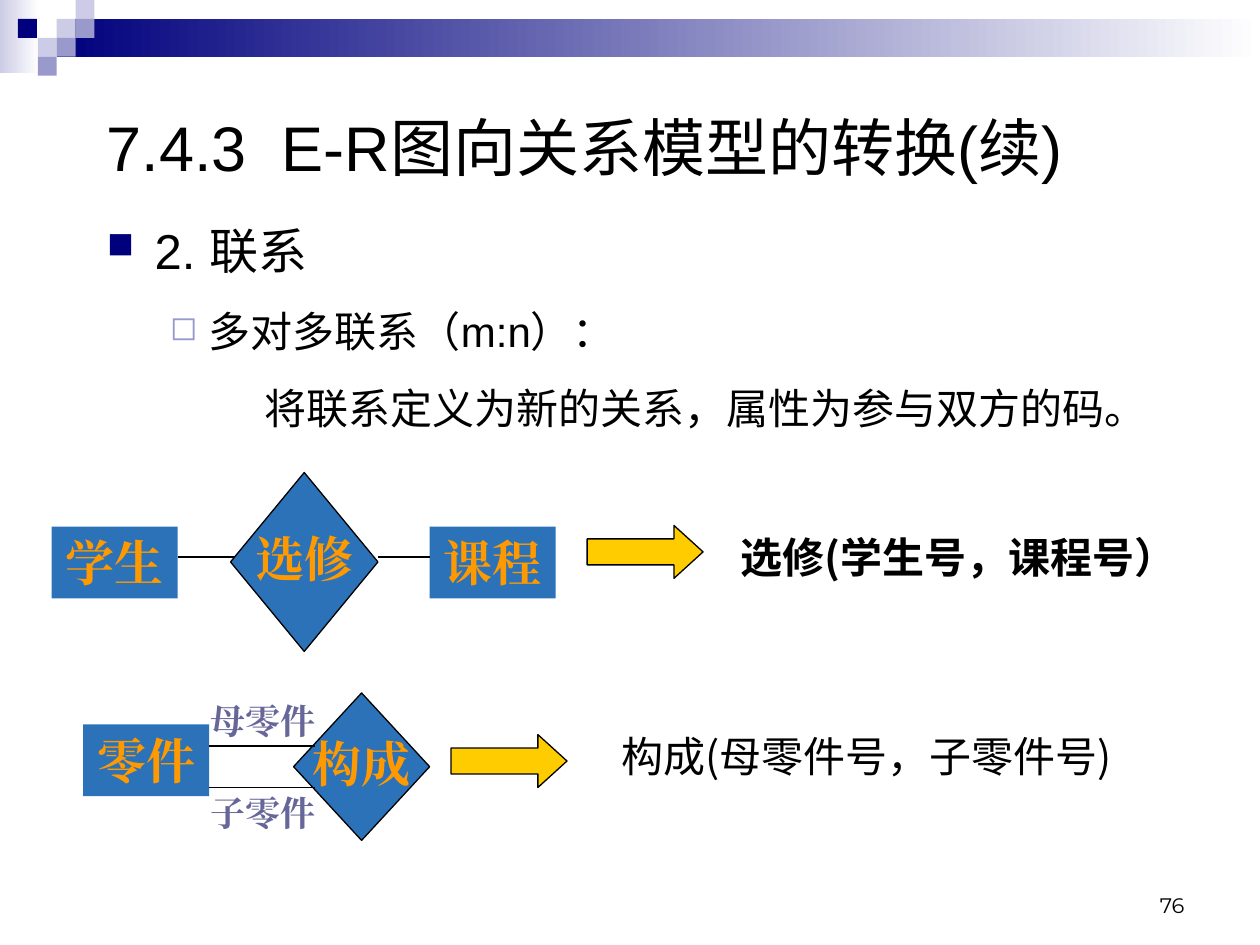
from pptx import Presentation
from pptx.dml.color import RGBColor
from pptx.enum.shapes import MSO_CONNECTOR, MSO_SHAPE
from pptx.enum.text import MSO_ANCHOR, PP_ALIGN
from pptx.oxml.ns import qn
from pptx.util import Inches, Pt
from lxml import etree

RECT, DIAMOND, ARROW = MSO_SHAPE.RECTANGLE, MSO_SHAPE.DIAMOND, MSO_SHAPE.RIGHT_ARROW
LEFT, CENTER, RIGHT = PP_ALIGN.LEFT, PP_ALIGN.CENTER, PP_ALIGN.RIGHT
TOP, MIDDLE, BOTTOM = MSO_ANCHOR.TOP, MSO_ANCHOR.MIDDLE, MSO_ANCHOR.BOTTOM
STRAIGHT = MSO_CONNECTOR.STRAIGHT

BLACK, NAVY, LILAC, PALE = "000000", "00007D", "9999CC", "CCCCE6"
BLUE, ORANGE, YELLOW, PURPLE = "2C72B8", "FF9900", "FFCC00", "666699"
SERIF, SANS, CJK = "Times New Roman", "Arial", "Noto Sans CJK JP"
UNIT = 0.15


def rgb(value):
    return RGBColor.from_string(value)


def style(para, size, font, color=BLACK, bold=False, align=LEFT):
    para.alignment = align
    for span in para.runs:
        span.font.size = Pt(size)
        span.font.name = font
        span.font.bold = bold
        span.font.color.rgb = rgb(color)
        east = etree.SubElement(span.font._element, qn("a:ea"))
        east.set("typeface", font)


def indent(para, left, first):
    props = para._p.get_or_add_pPr()
    props.set("marL", str(Inches(left)))
    props.set("indent", str(Inches(first)))


def add_bullet(para, char, color, percent):
    props = para._p.get_or_add_pPr()
    tint = etree.SubElement(props, qn("a:buClr"))
    etree.SubElement(tint, qn("a:srgbClr")).set("val", color)
    etree.SubElement(props, qn("a:buSzPct")).set("val", str(percent * 1000))
    etree.SubElement(props, qn("a:buChar")).set("char", char)


def add_text(page, box, text, size, font, anchor=TOP, **look):
    frame = page.shapes.add_textbox(*map(Inches, box)).text_frame
    frame.word_wrap = True
    frame.vertical_anchor = anchor
    frame.text = text
    style(frame.paragraphs[0], size, font, **look)
    return frame


def add_block(page, kind, box, fill, outlined=False):
    """Add a preset shape; a pair of colours gives a left-to-right gradient."""
    block = page.shapes.add_shape(kind, *map(Inches, box))
    block.shadow.inherit = False
    if isinstance(fill, tuple):
        block.fill.gradient()
        block.fill.gradient_angle = 0
        for stop, color in zip(block.fill.gradient_stops, fill):
            stop.color.rgb = rgb(color)
    else:
        block.fill.solid()
        block.fill.fore_color.rgb = rgb(fill)
    if outlined:
        block.line.color.rgb = rgb(BLACK)
        block.line.width = Pt(0.75)
    else:
        block.line.fill.background()
    return block


def add_node(page, kind, box, text):
    is_relation = kind == DIAMOND
    frame = add_block(page, kind, box, BLUE, is_relation).text_frame
    frame.word_wrap = not is_relation
    frame.vertical_anchor = MIDDLE if is_relation else TOP
    frame.text = text
    para = frame.paragraphs[0]
    style(para, 28, SERIF, ORANGE, True, CENTER)
    if is_relation:
        para.line_spacing = 0.9


def add_link(page, start, end, y):
    link = page.shapes.add_connector(STRAIGHT, *map(Inches, (start, y, end, y)))
    link.line.color.rgb = rgb(BLACK)
    link.line.width = Pt(0.75)
    etree.SubElement(link._element.spPr, qn("a:effectLst"))


def add_arrow(page, left, top):
    arrow = add_block(page, ARROW, (left, top, 0.92, 0.42), YELLOW, True)
    arrow.adjustments[0] = 0.492
    arrow.adjustments[1] = 0.55


def add_result(page, box, text, bold=False):
    frame = add_text(page, box, text, 24, CJK, bold=bold, align=CENTER)
    indent(frame.paragraphs[0], 0.81, -0.31)


def add_banner(page):
    add_block(page, RECT, (0, 0, 0.31, 0.58), (PALE, "FFFFFF"))
    add_block(page, RECT, (0.45, UNIT, 9.55, 0.3), (NAVY, "FFFFFF"))
    tiles = [(3, 1, PALE), (4, 0, PALE), (4, 1, LILAC), (2, 2, PALE),
             (0.95, 1, NAVY), (3, 2, LILAC), (2, 3, LILAC)]
    for column, row, color in tiles:
        add_block(page, RECT, (column * UNIT, row * UNIT, UNIT, UNIT), color)


def add_body(page, box):
    frame = add_text(page, box, "2. 联系", 28, SANS)
    heading = frame.paragraphs[0]
    indent(heading, 0.38, -0.38)
    add_bullet(heading, "■", NAVY, 75)

    kind = frame.add_paragraph()
    kind.text = "多对多联系（m:n）："
    kind.level = 1
    indent(kind, 0.81, -0.31)
    kind.space_before = Pt(15)
    add_bullet(kind, "◻", LILAC, 80)

    rule = frame.add_paragraph()
    rule.text = "将联系定义为新的关系，属性为参与双方的码。"
    rule.level = 2
    indent(rule, 1.25, 0)
    rule.space_before = Pt(15)
    for para in (kind, rule):
        style(para, 24, SANS)


def add_course_example(page, left, top):
    for offset, name in ((0, "学生"), (3, "课程")):
        add_node(page, RECT, (left + offset, top + 0.43, 1, 0.57), name)
    for start, end in ((1, 1.5), (2.59, 3)):
        add_link(page, left + start, left + end, top + 0.67)
    add_node(page, DIAMOND, (left + 1.42, top, 1.17, 1.42), "选修")
    add_arrow(page, left + 4.25, top + 0.42)
    add_result(page, (left + 4.75, top + 0.42, 4.4, 0.5), "选修(学生号，课程号）", True)


def add_part_example(page, left, top):
    add_node(page, DIAMOND, (left + 1.67, top, 1.08, 1.17), "构成")
    add_node(page, RECT, (left, top + 0.25, 1, 0.57), "零件")
    for line_y, label_y, role in ((0.42, 0, "母零件"), (0.75, 0.73, "子零件")):
        add_link(page, left + 1, left + 1.84, top + line_y)
        add_text(page, (left + 0.84, top + label_y, 1.17, 0.44), role, 20, SERIF,
                 color=PURPLE, bold=True, align=CENTER)
    add_arrow(page, left + 2.92, top + 0.33)
    add_result(page, (left + 3.34, top + 0.25, 5.25, 0.67), "构成(母零件号，子零件号)")


def main():
    deck = Presentation()
    deck.slide_width, deck.slide_height = Inches(10), Inches(7.5)
    page = deck.slides.add_slide(deck.slide_layouts[6])
    add_banner(page)
    add_text(page, (7.17, 6.83, 2.33, 0.5), "76", 12, "Montserrat", BOTTOM, align=RIGHT)
    add_text(page, (0.75, 0.86, 8.5, 0.61), "7.4.3  E-R图向关系模型的转换(续)", 36, SANS, MIDDLE)
    add_body(page, (0.75, 1.7, 8.5, 1.89))
    add_course_example(page, 0.41, 3.75)
    add_part_example(page, 0.66, 5.5)
    deck.save("out.pptx")


if __name__ == "__main__":
    main()
